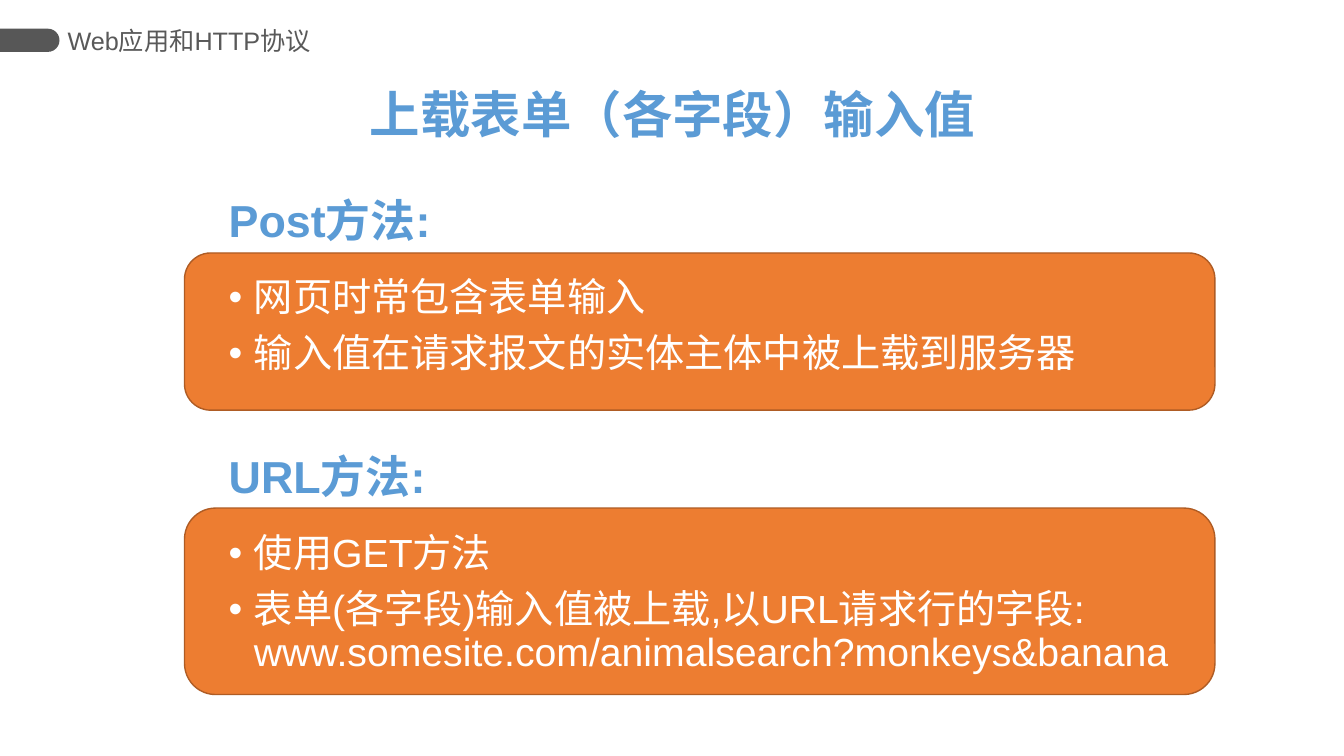
from lxml import etree
from pptx import Presentation
from pptx import util as u
from pptx.dml.color import RGBColor
from pptx.enum import shapes, text
from pptx.oxml import ns

BLUE = RGBColor(0x5B, 0x9B, 0xD5)
ORANGE = RGBColor(0xED, 0x7D, 0x31)
BROWN = RGBColor(0xAF, 0x5C, 0x24)
DARK = RGBColor(0x57, 0x57, 0x57)
GRAY = RGBColor(0x59, 0x59, 0x59)
WHITE = RGBColor(0xFF, 0xFF, 0xFF)

WIDE, HIGH = 13.33, 7.5
LEFT, PANEL = 1.83, 10.22
INDENT = 0.25


def add_shape(slide, kind, box, fill):
    shape = slide.shapes.add_shape(kind, *map(u.Inches, box))
    shape.shadow.inherit = False
    shape.fill.solid()
    shape.fill.fore_color.rgb = fill
    shape.line.fill.background()
    return shape


def add_frame(slide, box, wrap=True):
    frame = slide.shapes.add_textbox(*map(u.Inches, box)).text_frame
    frame.word_wrap = wrap
    return frame


def add_run(para, words, size, color, bold=False):
    run = para.add_run()
    run.text = words
    font = run.font
    font.name, font.size, font.bold = "Arial", u.Pt(size), bold
    font.color.rgb = color


def hang(para, bullet):
    """Give a paragraph a hanging indent, with or without a bullet."""
    props = para._p.get_or_add_pPr()
    props.set("marL", str(u.Inches(INDENT)))
    props.set("indent", str(-u.Inches(INDENT)))
    if bullet:
        font = etree.SubElement(props, ns.qn("a:buFont"))
        font.set("typeface", "Arial")
        etree.SubElement(props, ns.qn("a:buChar")).set("char", "•")
    else:
        etree.SubElement(props, ns.qn("a:buNone"))


def add_header(slide, box, words):
    """Place a tab, round on its right end, with the chapter name after it."""
    left, top, width, height = box
    tab, thick = 0.59, 0.23
    mid = top + height / 2
    # The tab stands upright before its quarter turn.
    mark = add_shape(slide, shapes.MSO_SHAPE.ROUND_2_SAME_RECTANGLE,
                     (left + (tab - thick) / 2, mid - tab / 2, thick, tab), DARK)
    mark.adjustments[0] = 0.5
    mark.rotation = 90
    frame = add_frame(slide, (left + 0.67, top, width - 0.67, height))
    frame.margin_left = frame.margin_right = 0
    frame.vertical_anchor = text.MSO_ANCHOR.MIDDLE
    add_run(frame.paragraphs[0], words, 18, GRAY)


def add_title(slide, box, words):
    frame = add_frame(slide, box, wrap=False)
    para = frame.paragraphs[0]
    para.alignment = text.PP_ALIGN.CENTER
    add_run(para, words, 36, BLUE, True)


def add_method(slide, box, drop, width, head, points):
    """Place a heading, and its points on a panel that starts drop below."""
    left, top, span, height = box
    panel = add_shape(slide, shapes.MSO_SHAPE.ROUNDED_RECTANGLE,
                      (left, top + drop, span, height - drop), ORANGE)
    panel.line.color.rgb = BROWN
    panel.line.width = u.Pt(1)

    frame = add_frame(slide, (left + 0.34, top, width, height))
    para = frame.paragraphs[0]
    para.line_spacing = 0.9
    para.space_after = u.Pt(12)
    hang(para, False)
    add_run(para, head, 32, BLUE, True)
    for point in points:
        para = frame.add_paragraph()
        para.line_spacing = 0.9
        para.space_before = u.Pt(10)
        hang(para, True)
        add_run(para, point, 28, WHITE)


def main():
    deck = Presentation()
    deck.slide_width, deck.slide_height = u.Inches(WIDE), u.Inches(HIGH)
    slide = deck.slides.add_slide(deck.slide_layouts[6])
    add_header(slide, (0, 0.19, 3.3, 0.42), "Web应用和HTTP协议")
    add_title(slide, (3.54, 0.78, 6.26, 0.71), "上载表单（各字段）输入值")
    add_method(slide, (LEFT, 1.92, PANEL, 2.15), 0.59, 9.06, "Post方法:", [
        "网页时常包含表单输入",
        "输入值在请求报文的实体主体中被上载到服务器",
    ])
    add_method(slide, (LEFT, 4.46, PANEL, 2.43), 0.58, 9.89, "URL方法:", [
        "使用GET方法",
        "表单(各字段)输入值被上载,以URL请求行的字段: "
        "www.somesite.com/animalsearch?monkeys&banana",
    ])
    deck.save("out.pptx")


if __name__ == "__main__":
    main()
